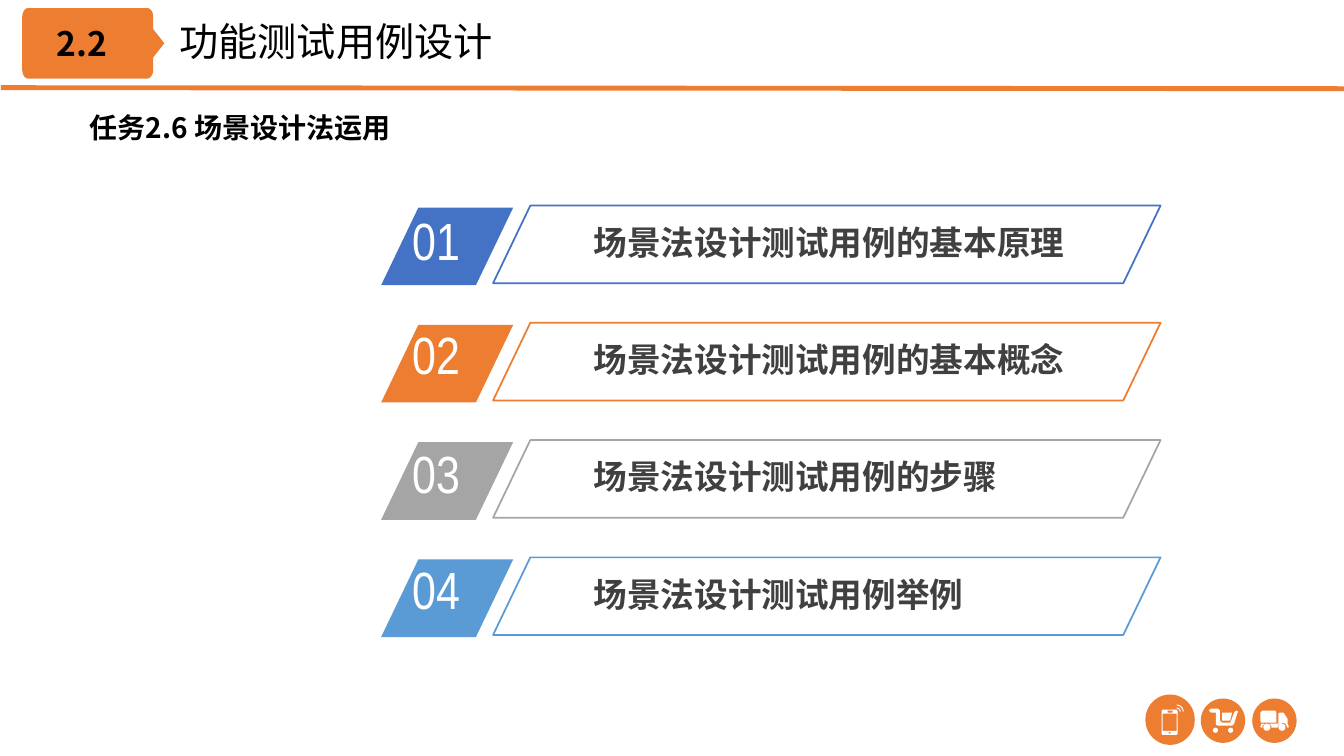
from dataclasses import dataclass
from math import cos, radians, sin

from lxml.etree import SubElement
from pptx import Presentation
from pptx.dml.color import RGBColor
from pptx.enum.shapes import MSO_CONNECTOR, MSO_SHAPE
from pptx.enum.text import MSO_ANCHOR, MSO_AUTO_SIZE, PP_ALIGN
from pptx.oxml.ns import qn
from pptx.util import Pt

SCALE = 9144


@dataclass(frozen=True)
class Theme:
    """Colours, fonts and type sizes of the slide."""
    accent: str = "ED7D31"
    white: str = "FFFFFF"
    black: str = "000000"
    body: str = "404040"
    rows: tuple = ("4472C4", "ED7D31", "A5A5A5", "5B9BD5")
    font: str = "Noto Sans CJK SC"
    number_font: str = "Arial Narrow"
    title_size: float = 28
    label_size: float = 24
    task_size: float = 20
    number_size: float = 37.4


THEME = Theme()
ROWS = (
    ("01", "场景法设计测试用例的基本原理", -5),
    ("02", "场景法设计测试用例的基本概念", -8),
    ("03", "场景法设计测试用例的步骤", -6),
    ("04", "场景法设计测试用例举例", -8),
)


def px(length):
    """Turn px into EMU."""
    return round(length * SCALE)


def apply(target, values):
    """Set each named attribute of the target."""
    for name, value in values.items():
        setattr(target, name, value)


def place(shape, box):
    """Move and size a shape to a px box."""
    apply(shape, dict(zip(("left", "top", "width", "height"), map(px, box))))


def paint(shape, fill=None, line=None):
    """Give a shape a plain fill or outline without shadow."""
    shape.shadow.inherit = False
    if fill:
        shape.fill.solid()
        shape.fill.fore_color.rgb = RGBColor.from_string(fill)
    else:
        shape.fill.background()
    if line:
        shape.line.color.rgb = RGBColor.from_string(line)
        shape.line.width = Pt(1.25)
    else:
        shape.line.fill.background()


def write(shape, text, size, color, bold=False, font=THEME.font):
    """Write one formatted paragraph into a shape and return it."""
    frame = shape.text_frame
    apply(frame, {"word_wrap": True, "auto_size": MSO_AUTO_SIZE.NONE,
                  "vertical_anchor": MSO_ANCHOR.MIDDLE})
    para = frame.paragraphs[0]
    para.alignment = PP_ALIGN.LEFT
    span = para.add_run()
    span.text = text
    apply(span.font, {"name": font, "size": Pt(size), "bold": bold})
    span.font.color.rgb = RGBColor.from_string(color)
    SubElement(span.font._element, qn("a:ea")).set("typeface", font)
    return para


def add_text(shapes, box, *style, **options):
    """Add a text box with one paragraph and return the paragraph."""
    return write(shapes.add_textbox(*map(px, box)), *style, **options)


def add_preset(shapes, kind, box, fill=None, line=None):
    """Add a painted preset shape."""
    shape = shapes.add_shape(kind, *map(px, box))
    paint(shape, fill, line)
    return shape


def add_outline(shapes, origin, contours, fill):
    """Add one freeform of closed contours measured from the origin."""
    left, top = origin
    builder = None
    for contour in contours:
        points = [(px(left + x), px(top + y)) for x, y in contour]
        if builder is None:
            builder = shapes.build_freeform(*points[0], scale=1.0)
        else:
            builder.move_to(*points[0])
        builder.add_line_segments(points[1:], close=True)
    paint(builder.convert_to_shape(), fill)


def arc(x, y, across, down, start, end, steps=6):
    """Return points along an elliptical arc, clockwise by degrees."""
    angles = [radians(start + (end - start) * step / steps) for step in range(steps + 1)]
    return [(x + across * cos(angle), y + down * sin(angle)) for angle in angles]


def circle(left, top, size):
    """Return the contour of a circle in a square box."""
    radius = size / 2
    return arc(left + radius, top + radius, radius, radius, 0, 345, 23)


def wave(radius):
    """Return a quarter ring of the phone signal."""
    return arc(31, 17, radius, radius, -90, 0) + arc(31, 17, radius - 1, radius - 1, 0, -90)


PHONE = (
    [(17, 15), (31, 15), (32, 17), (32, 39), (31, 40), (17, 40), (16, 39), (16, 17)],
    [(17, 19), (31, 19), (31, 36), (17, 36)],
    [(22, 16), (27, 16), (27, 18), (22, 18)],
    circle(23, 37, 2), wave(7), wave(4),
)
CART = (
    [(10, 10), (17, 10), (19, 12), (19, 22), (21, 24), (29, 24), (30, 22), (33, 14), (35, 12),
     (37, 13), (36, 15), (33, 25), (31, 27), (17, 27), (15, 26), (15, 14), (10, 14), (8, 12)],
    [(31, 14), (21, 14), (21, 22), (29, 22)],
    circle(12, 29, 5), circle(27, 29, 5),
)
TRUCK = (
    [(9, 24), (24, 24), (24, 14), (23, 12), (10, 12), (8, 14), (8, 22)],
    [(9, 25), (12, 25), (10, 27), (10, 29), (9, 29), (8, 28)],
    [(35, 25), (35, 20), (31, 14), (27, 14), (26, 15), (26, 25), (17, 25), (19, 27), (19, 29),
     (25, 29), (26, 26), (30, 24), (33, 25), (35, 29), (36, 29), (36, 27)],
    circle(11, 25, 7), circle(26, 25, 7),
)


def add_header(page, box):
    """Draw the rule, the section tab and the title."""
    left, top, width, height = box
    rule = page.shapes.add_connector(
        MSO_CONNECTOR.STRAIGHT, px(left + 1), px(top + height - 1), px(left + width), px(top + height))
    rule.line.color.rgb = RGBColor.from_string(THEME.accent)
    rule.line.width = Pt(3.5)
    SubElement(rule._element.spPr, qn("a:effectLst"))
    tab = (arc(124, 9, 6, 9, -90, 0) + [(130, 21), (141, 35), (130, 49)]
           + arc(124, 61, 6, 9, 0, 90) + arc(6, 61, 6, 9, 90, 180) + arc(6, 9, 6, 9, 180, 270))
    add_outline(page.shapes, (left + 22, top + 8), [tab], THEME.accent)
    add_text(page.shapes, (left + 46, top + 18, 95, 50), "2.2",
             THEME.label_size, THEME.black, bold=True)
    title = page.shapes.title
    place(title, (left + 168, top + 12, 492, 57))
    write(title, "功能测试用例设计", THEME.title_size, THEME.black)


def add_task(page, box):
    """Write the indented task line."""
    para = add_text(page.shapes, box, "任务2.6 场景设计法运用",
                    THEME.task_size, THEME.black, bold=True)
    para.line_spacing = 1.5
    para._p.get_or_add_pPr().set("indent", str(px(50)))


def add_agenda(page, box):
    """Draw the numbered rows at an even pitch."""
    left, top, width, height = box
    shapes = page.shapes.add_group_shape().shapes
    tall = 77
    pitch = (height - tall - 2) / (len(ROWS) - 1)
    for index, (number, label, shift) in enumerate(ROWS):
        color = THEME.rows[index]
        row_top = top + index * pitch
        badge = add_preset(shapes, MSO_SHAPE.PARALLELOGRAM,
                           (left, row_top + 2, 131, tall), fill=color)
        add_text(shapes, (left + 21, row_top + 2 + shift, 125, 73), number,
                 THEME.number_size, THEME.white, font=THEME.number_font)
        add_text(shapes, (left + 201, row_top + 11, width - 202, 50), label,
                 THEME.label_size, THEME.body, bold=True)
        frame = add_preset(shapes, MSO_SHAPE.PARALLELOGRAM,
                           (left + 111, row_top, width - 111, tall), line=color)
        for shape in (badge, frame):
            shape.adjustments[0] = 0.48


def add_icons(page, box):
    """Draw the round icon badges in the corner."""
    left, top = box[:2]
    badges = (
        (55, 4, 44, 44, CART),
        (106, 4, 44, 44, TRUCK),
        (0, 0, 49, 50, PHONE),
    )
    for across, down, width, height, contours in badges:
        shapes = page.shapes.add_group_shape().shapes
        origin = (left + across, top + down)
        add_preset(shapes, MSO_SHAPE.OVAL, (*origin, width, height), fill=THEME.accent)
        add_outline(shapes, origin, contours, THEME.white)


def main():
    """Build the slide and save it."""
    deck = Presentation()
    apply(deck, {"slide_width": px(1333), "slide_height": px(750)})
    page = deck.slides.add_slide(deck.slide_layouts[5])
    add_header(page, (0, 0, 1333, 88))
    add_icons(page, (1136, 689, 150, 50))
    add_task(page, (29, 88, 1270, 60))
    add_agenda(page, (378, 204, 773, 428))
    deck.save("out.pptx")


if __name__ == "__main__":
    main()
